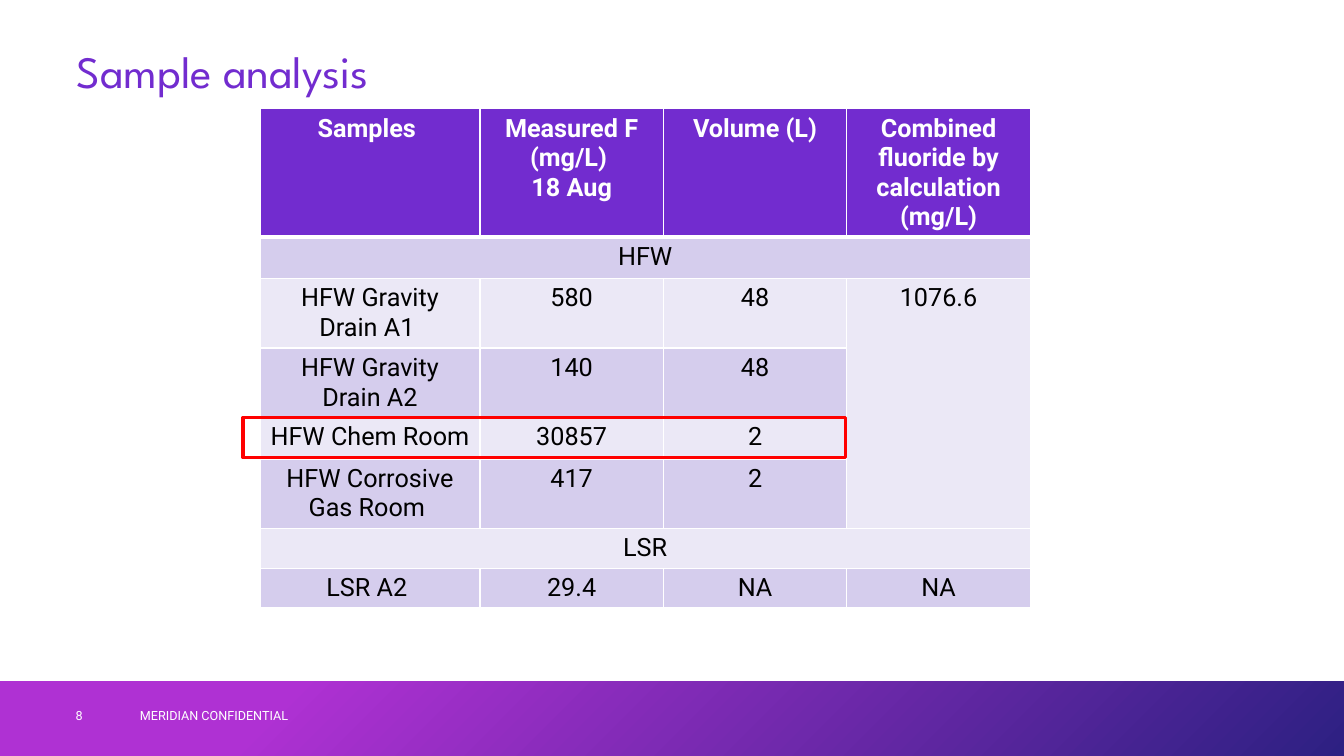
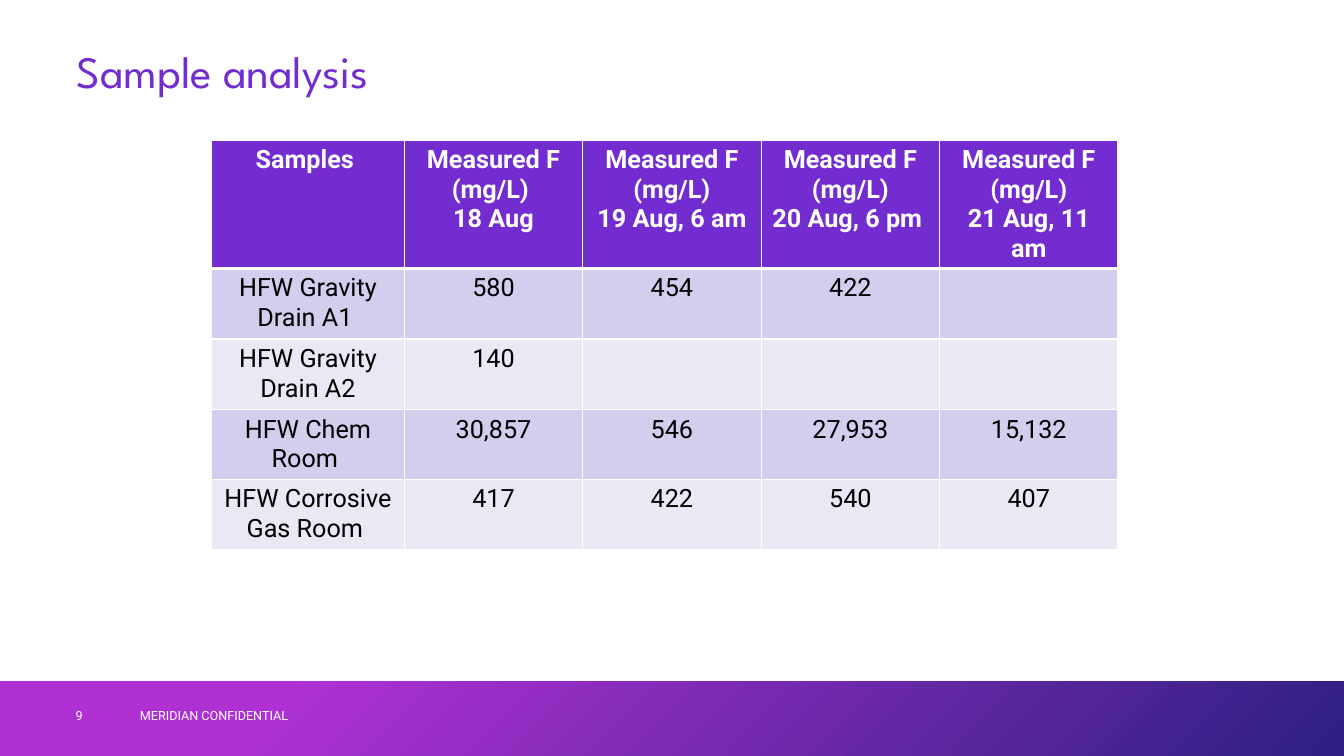
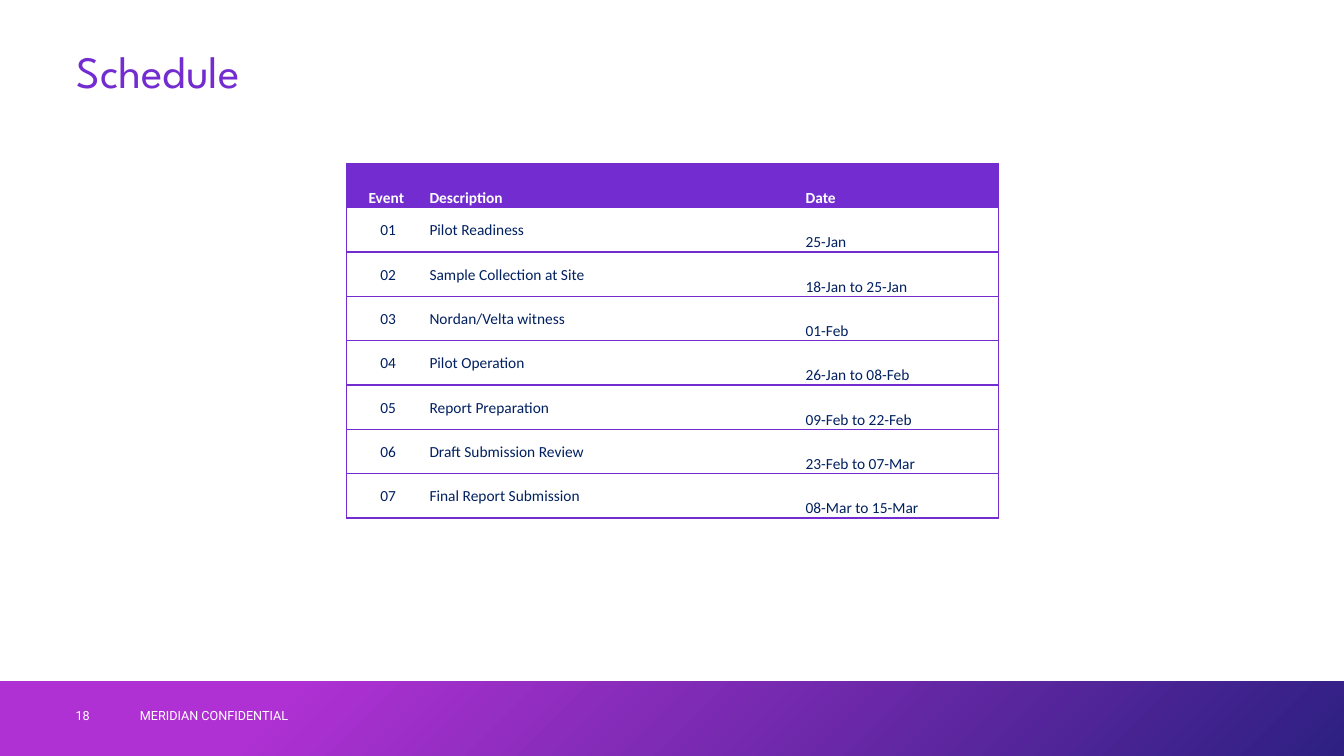
from dataclasses import dataclass
from typing import Optional

from lxml.etree import SubElement
from pptx import Presentation
from pptx.dml.color import RGBColor
from pptx.enum.shapes import MSO_SHAPE as Shape
from pptx.enum.text import MSO_ANCHOR as Anchor, MSO_AUTO_SIZE as AutoSize, PP_ALIGN as Align
from pptx.oxml.ns import qn
from pptx.util import Inches, Pt

COLOURS = {
    "violet": "722CCF",
    "magenta": "AF31D3",
    "indigo": "2D2082",
    "lilac": "D5CDED",
    "pale": "EBE8F6",
    "navy": "002060",
    "white": "FFFFFF",
    "black": "000000",
    "red": "FF0000",
}
SLIDE_WIDTH, SLIDE_HEIGHT = 13.33, 7.5
BAND_TOP = 6.76
FOOTER = "MERIDIAN CONFIDENTIAL"

Box = tuple[float, float, float, float]
Border = Optional[tuple[str, float]]


@dataclass(frozen=True)
class TableStyle:
    font: str
    size: float
    ink: str
    bands: tuple[Optional[str], ...]
    aligns: tuple[Align, ...]
    anchors: tuple[Anchor, ...]
    margins: tuple[float, float]
    line_spacing: float
    space_after: float
    inner: Border
    rule: Border
    head_rule: Border


@dataclass(frozen=True)
class TableSlide:
    number: int
    title: str
    style: TableStyle
    left: float
    top: float
    widths: list[float]
    heights: list[float]
    rows: list[list[str]]
    merges: tuple[tuple[int, int, int, int], ...] = ()
    highlight: Optional[Box] = None


SAMPLES = TableStyle(
    font="Roboto", size=18, ink="black", bands=("lilac", "pale"),
    aligns=(Align.CENTER,) * 5, anchors=(Anchor.TOP,) * 5, margins=(0.1, 0.05),
    line_spacing=1, space_after=0,
    inner=("white", 1), rule=("white", 1), head_rule=("white", 3),
)
SCHEDULE = TableStyle(
    font="Calibri", size=11, ink="navy", bands=(None,),
    aligns=(Align.CENTER, Align.JUSTIFY, Align.JUSTIFY),
    anchors=(Anchor.MIDDLE, Anchor.MIDDLE, Anchor.BOTTOM), margins=(0, 0),
    line_spacing=1.07, space_after=8,
    inner=None, rule=("violet", 1), head_rule=("violet", 1),
)

SLIDES = [
    TableSlide(
        8, "Sample analysis", SAMPLES, 2.58, 1.08,
        widths=[2.18] + [1.82] * 3,
        heights=[1.27, 0.41, 0.69, 0.69, 0.41, 0.69, 0.39, 0.39],
        rows=[
            ["Samples ", "Measured F (mg/L) \n18 Aug", "Volume (L)",
             "Combined fluoride by calculation (mg/L)"],
            ["HFW", "", "", ""],
            ["HFW Gravity Drain A1 ", "580", "48", "1076.6"],
            ["HFW Gravity Drain A2", "140", "48", ""],
            ["HFW Chem Room ", "30857", "2", ""],
            ["HFW Corrosive Gas Room ", "417", "2", ""],
            ["LSR", "", "", ""],
            ["LSR A2 ", "29.4", "NA", "NA"],
        ],
        merges=((1, 0, 1, 3), (2, 3, 5, 3), (6, 0, 6, 3)),
        highlight=(2.41, 4.14, 5.98, 0.4),
    ),
    TableSlide(
        9, "Sample analysis", SAMPLES, 2.1, 1.39,
        widths=[1.91] + [1.77] * 4,
        heights=[1.27, 0.7, 0.7, 0.69, 0.7],
        rows=[
            ["Samples ", "Measured F (mg/L) \n18 Aug", "Measured F (mg/L)\n19 Aug, 6 am",
             "Measured F (mg/L)\n20 Aug, 6 pm ", "Measured F (mg/L)\n21 Aug, 11 am"],
            ["HFW Gravity Drain A1 ", "580", "454", "422", ""],
            ["HFW Gravity Drain A2", "140", "", "", ""],
            ["HFW Chem Room ", "30,857", "546", "27,953", "15,132"],
            ["HFW Corrosive Gas Room ", "417", "422", "540", "407"],
        ],
    ),
    TableSlide(
        18, "Schedule", SCHEDULE, 3.44, 1.62,
        widths=[0.82, 3.73, 1.91],
        heights=[0.44] * 8,
        rows=[
            ["Event ", "Description", "Date"],
            ["01", "Pilot Readiness", "25-Jan"],
            ["02", "Sample Collection at Site", "18-Jan to 25-Jan"],
            ["03", "Nordan/Velta witness", "01-Feb"],
            ["04", "Pilot Operation", "26-Jan to 08-Feb"],
            ["05", "Report Preparation", "09-Feb to 22-Feb"],
            ["06", "Draft Submission Review", "23-Feb to 07-Mar"],
            ["07", "Final Report Submission", "08-Mar to 15-Mar"],
        ],
    ),
]


def rgb(name: str) -> RGBColor:
    return RGBColor.from_string(COLOURS[name])


def format_text(frame, font: str, size: float, colour: str, align=Align.LEFT,
                bold: bool = False, line_spacing: float = 1, space_after: float = 0) -> None:
    for paragraph in frame.paragraphs:
        paragraph.alignment = align
        paragraph.line_spacing = line_spacing
        paragraph.space_after = Pt(space_after)
        for span in paragraph.runs:
            span.font.name = font
            span.font.size = Pt(size)
            span.font.bold = bold
            span.font.color.rgb = rgb(colour)


def set_frame(frame, left_margin: float) -> None:
    frame.word_wrap = True
    frame.auto_size = AutoSize.NONE
    frame.vertical_anchor = Anchor.MIDDLE
    frame.margin_left, frame.margin_right = Inches(left_margin), Inches(0.1)
    frame.margin_top = frame.margin_bottom = Inches(0.05)


def add_rectangle(page, box: Box):
    shape = page.shapes.add_shape(Shape.RECTANGLE, *map(Inches, box))
    shape.shadow.inherit = False
    return shape


def add_footer_text(page, text: str, box: Box, left_margin: float) -> None:
    frame = page.shapes.add_textbox(*map(Inches, box)).text_frame
    set_frame(frame, left_margin)
    frame.text = text
    format_text(frame, "Roboto", 9, "white")


def add_band(page) -> None:
    band = add_rectangle(page, (0, BAND_TOP, SLIDE_WIDTH, SLIDE_HEIGHT - BAND_TOP))
    band.line.fill.background()
    band.fill.gradient()
    band.fill.gradient_angle = 315
    stops = ((0.21, "magenta"), (1, "indigo"))
    for stop, (position, colour) in zip(band.fill.gradient_stops, stops):
        stop.position = position
        stop.color.rgb = rgb(colour)


def set_title(page, text: str) -> None:
    title = page.shapes.title
    title.left, title.top, title.width, title.height = map(Inches, (0.76, 0.4, 11.81, 0.67))
    set_frame(title.text_frame, 0)
    title.text_frame.text = text
    format_text(title.text_frame, "League Spartan", 32, "violet", line_spacing=0.9)


def set_borders(cell, left: Border, right: Border, top: Border, bottom: Border) -> None:
    """Write the cell's edges; call before setting its fill, which must follow them."""
    properties = cell._tc.get_or_add_tcPr()
    for tag, border in (("a:lnL", left), ("a:lnR", right), ("a:lnT", top), ("a:lnB", bottom)):
        line = SubElement(properties, qn(tag))
        if border is None:
            SubElement(line, qn("a:noFill"))
            continue
        colour, width = border
        line.set("w", str(Pt(width)))
        fill = SubElement(line, qn("a:solidFill"))
        SubElement(fill, qn("a:srgbClr")).set("val", COLOURS[colour])


def format_cell(cell, text: str, row: int, column: int, last_column: int,
                style: TableStyle) -> None:
    is_head = row == 0
    set_borders(
        cell,
        left=style.rule if column == 0 else style.inner,
        right=style.rule if column == last_column else style.inner,
        top=style.head_rule if row == 1 else style.rule,
        bottom=style.head_rule if is_head else style.rule,
    )
    fill = "violet" if is_head else style.bands[(row - 1) % len(style.bands)]
    if fill:
        cell.fill.solid()
        cell.fill.fore_color.rgb = rgb(fill)
    else:
        cell.fill.background()
    side, end = map(Inches, style.margins)
    cell.margin_left = cell.margin_right = side
    cell.margin_top = cell.margin_bottom = end
    cell.vertical_anchor = style.anchors[-1 if is_head else column]
    cell.text_frame.text = text
    format_text(cell.text_frame, style.font, style.size, "white" if is_head else style.ink,
                style.aligns[column], is_head, style.line_spacing, style.space_after)


def add_table(page, content: TableSlide) -> None:
    table = page.shapes.add_table(
        len(content.rows), len(content.widths), Inches(content.left), Inches(content.top),
        Inches(sum(content.widths)), Inches(sum(content.heights))).table
    table.first_row = table.horz_banding = False
    for column, width in zip(table.columns, content.widths):
        column.width = Inches(width)
    for row, height in zip(table.rows, content.heights):
        row.height = Inches(height)
    for top, left, bottom, right in content.merges:
        table.cell(top, left).merge(table.cell(bottom, right))
    for row, texts in enumerate(content.rows):
        for column, text in enumerate(texts):
            cell = table.cell(row, column)
            if not cell.is_spanned:
                format_cell(cell, text, row, column, len(texts) - 1, content.style)


def add_highlight(page, box: Box) -> None:
    frame = add_rectangle(page, box)
    frame.fill.background()
    frame.line.color.rgb = rgb("red")
    frame.line.width = Pt(2.25)


def add_slide(deck, content: TableSlide) -> None:
    page = deck.slides.add_slide(deck.slide_layouts.get_by_name("Title Only"))
    add_band(page)
    set_title(page, content.title)
    add_footer_text(page, FOOTER, (1.29, 6.9, 4.5, 0.4), 0.1)
    add_footer_text(page, str(content.number), (0.75, 6.9, 0.54, 0.4), 0)
    add_table(page, content)
    if content.highlight:
        add_highlight(page, content.highlight)


def main() -> None:
    deck = Presentation()
    deck.slide_width, deck.slide_height = Inches(SLIDE_WIDTH), Inches(SLIDE_HEIGHT)
    for content in SLIDES:
        add_slide(deck, content)
    deck.save("out.pptx")


if __name__ == "__main__":
    main()
